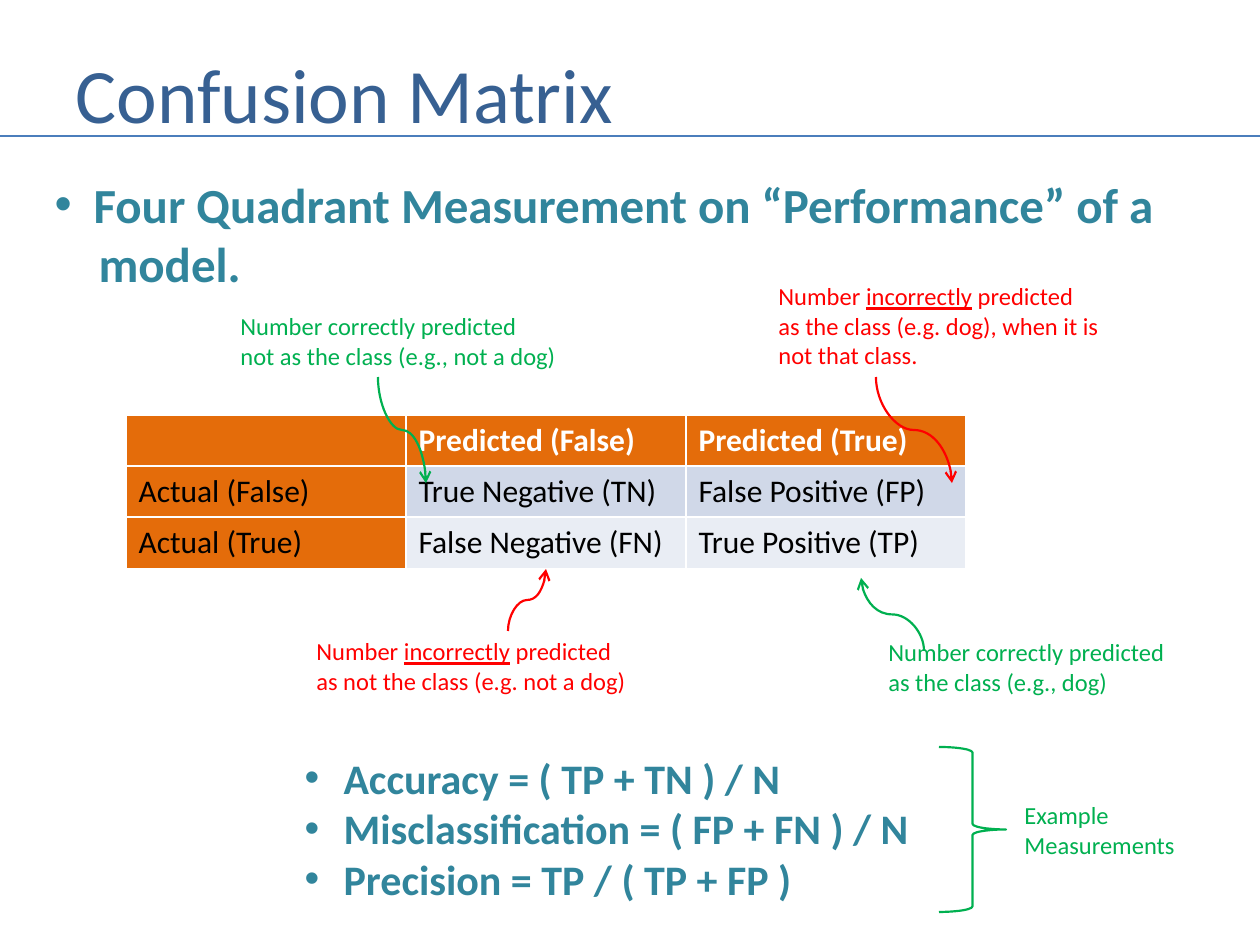
from lxml.etree import SubElement
from pptx import Presentation
from pptx.dml.color import RGBColor as RGB
from pptx.enum.shapes import MSO_CONNECTOR as LINK, MSO_SHAPE as SHAPE
from pptx.enum.text import MSO_ANCHOR as ANCHOR, MSO_AUTO_SIZE as FIT, PP_ALIGN as ALIGN
from pptx.oxml.ns import qn
from pptx.util import Pt

SCALE = 914400 / 126
COLORS = {
    "title": "376092", "rule": "4B7EBC", "list": "31859C",
    "right": "00B050", "wrong": "FF0000", "header": "E46C0A",
    "band1": "D0D8E8", "band2": "E9EDF4", "white": "FFFFFF", "black": "000000",
}


def px(*lengths):
    """Turn px lengths into a list of EMU."""
    return [round(length * SCALE) for length in lengths]


def write_lines(frame, lines, size, color, bold=False):
    """Write one paragraph a line; words between underscores are underlined."""
    for number, line in enumerate(lines):
        paragraph = frame.add_paragraph() if number else frame.paragraphs[0]
        paragraph.alignment = ALIGN.LEFT
        paragraph.space_before = Pt(0)
        for part, words in enumerate(line.split("_")):
            if words:
                run = paragraph.add_run()
                run.text = words
                run.font.name = "Calibri"
                run.font.size = Pt(size)
                run.font.bold = bold
                run.font.color.rgb = RGB.from_string(COLORS[color])
                if part % 2:
                    run.font.underline = True


prs = Presentation()
prs.slide_width, prs.slide_height = px(1260, 945)
slide = prs.slides.add_slide(prs.slide_layouts[3])
shapes = slide.shapes
title, topic, measures = slide.placeholders

# Title and the rule below it
title.left, title.top, title.width, title.height = px(63, 38, 1144, 110)
title.text_frame.vertical_anchor = ANCHOR.MIDDLE
title.text_frame.auto_size = FIT.NONE
write_lines(title.text_frame, ["Confusion Matrix"], 44, "title")

rule = shapes.add_connector(LINK.STRAIGHT, *px(0, 136, 1260, 136))
rule.line.width = Pt(1.5)
rule.line.color.rgb = RGB.from_string(COLORS["rule"])
SubElement(rule._element.spPr, qn("a:effectLst"))

# Bulleted lists
topic_lines = ["Four Quadrant Measurement on “Performance” of a", "model."]
measure_lines = ["Accuracy = ( TP + TN ) / N", "Misclassification = ( FP + FN ) / N",
                 "Precision = TP / ( TP + FP )"]
bullet_indent = px(39)[0]
for holder, place, lines, size in [
    (topic, (42, 168, 1138, 242), topic_lines, 28),
    (measures, (292, 746, 636, 165), measure_lines, 24),
]:
    holder.left, holder.top, holder.width, holder.height = px(*place)
    holder.text_frame.auto_size = FIT.NONE
    write_lines(holder.text_frame, lines, size, "list", bold=True)
    for paragraph in holder.text_frame.paragraphs:
        props = paragraph._p.get_or_add_pPr()
        props.set("marL", str(bullet_indent))
        props.set("indent", str(-bullet_indent))
        SubElement(props, qn("a:buChar"), char="•")

# The topic runs on to a second line without a bullet
props = topic.text_frame.paragraphs[1]._p.get_or_add_pPr()
props.set("marL", str(px(44)[0]))
props.set("indent", "0")
props.remove(props.find(qn("a:buChar")))
SubElement(props, qn("a:buNone"))

# Confusion matrix
rows = [
    ["", "Predicted (False)", "Predicted (True)"],
    ["Actual (False)", "True Negative (TN)", "False Positive (FP)"],
    ["Actual (True)", "False Negative (FN)", "True Positive (TP)"],
]
matrix = shapes.add_table(3, 3, *px(126, 415, 840, 153)).table
for r, row in enumerate(rows):
    for c, label in enumerate(row):
        cell = matrix.cell(r, c)
        fill = "header" if r == 0 or c == 0 else f"band{r}"
        cell.fill.solid()
        cell.fill.fore_color.rgb = RGB.from_string(COLORS[fill])
        write_lines(cell.text_frame, [label], 18, "black" if r else "white", bold=r == 0)

# Notes around the matrix
notes = [
    ((228, 305, 349, 72), "right",
     ["Number correctly predicted", "not as the class (e.g., not a dog)"]),
    ((766, 275, 349, 102), "wrong",
     ["Number _incorrectly_ predicted", "as the class (e.g. dog), when it is",
      "not that class."]),
    ((304, 630, 338, 72), "wrong",
     ["Number _incorrectly_ predicted", "as not the class (e.g. not a dog)"]),
    ((876, 631, 304, 72), "right",
     ["Number correctly predicted", "as the class (e.g., dog)"]),
    ((1012, 794, 178, 72), "right", ["Example", "Measurements"]),
]
for place, color, lines in notes:
    note = shapes.add_textbox(*px(*place)).text_frame
    note.word_wrap = False
    write_lines(note, lines, 14, color)

# Curved arrows from the notes to their cells
arrows = [
    ((378, 377), (426, 483), "right"),
    ((876, 377), (952, 483), "wrong"),
    ((508, 631), (546, 569), "wrong"),
    ((924, 651), (861, 578), "right"),
]
for (x1, y1), (x2, y2), color in arrows:
    # A quarter turn about the centre makes the curve leave vertically
    cx, cy = (x1 + x2) / 2, (y1 + y2) / 2
    arrow = shapes.add_connector(
        LINK.CURVE, *px(cx + cy - y1, cy + x1 - cx, cx + cy - y2, cy + x2 - cx))
    arrow._element.spPr.find(qn("a:xfrm")).set("rot", str(270 * 60000))
    arrow.line.width = Pt(1.25)
    arrow.line.color.rgb = RGB.from_string(COLORS[color])
    SubElement(arrow.line._get_or_add_ln(), qn("a:tailEnd"), type="arrow")
    SubElement(arrow._element.spPr, qn("a:effectLst"))

# Brace beside the measurements
brace = shapes.add_shape(SHAPE.RIGHT_BRACE, *px(939, 747, 67, 165))
brace.shadow.inherit = False
brace.fill.background()
brace.line.width = Pt(1.25)
brace.line.color.rgb = RGB.from_string(COLORS["right"])

prs.save("out.pptx")
